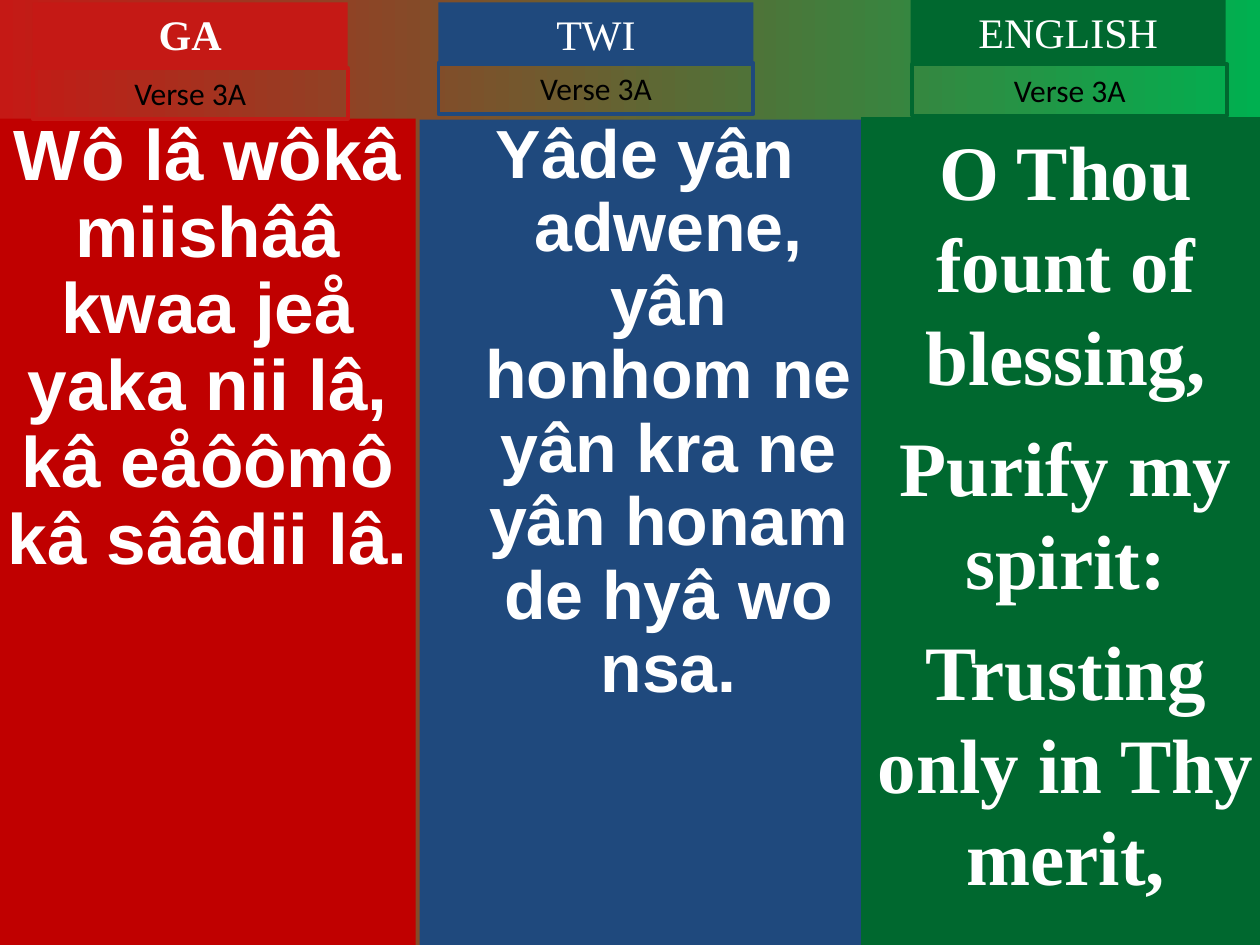
import pptx
import pptx.util
import pptx.dml.color
import pptx.enum.shapes
import pptx.enum.text
from pptx.util import Cm, Pt

RGBColor = pptx.dml.color.RGBColor
RED = RGBColor(0xC0, 0x00, 0x00)
BRIGHT_RED = RGBColor(0xC5, 0x19, 0x15)
BLUE = RGBColor(0x1F, 0x49, 0x7D)
DARK_GREEN = RGBColor(0x00, 0x68, 0x2F)
GREEN = RGBColor(0x00, 0xB0, 0x50)
WHITE = RGBColor(0xFF, 0xFF, 0xFF)
BLACK = RGBColor(0x00, 0x00, 0x00)


def add_box(s, box, inset):
    sp = s.shapes.add_shape(pptx.enum.shapes.MSO_SHAPE.RECTANGLE, *[Cm(v) for v in box])
    sp.shadow.inherit = False
    sp.fill.background()
    sp.line.fill.background()
    tf = sp.text_frame
    tf.word_wrap = True
    tf.vertical_anchor = pptx.enum.text.MSO_ANCHOR.TOP
    tf.margin_left = tf.margin_right = Cm(2 * inset)
    tf.margin_top = tf.margin_bottom = Cm(inset)
    return sp


def add_text(p, text, font, size, color, bold=False):
    p.alignment = pptx.enum.text.PP_ALIGN.CENTER
    r = p.add_run()
    r.text = text
    r.font.name = font
    r.font.size = Pt(size)
    r.font.bold = bold
    r.font.color.rgb = color


prs = pptx.Presentation()
prs.slide_width = Cm(25.4)
prs.slide_height = Cm(19.05)
s = prs.slides.add_slide(prs.slide_layouts[6])

fill = s.background.fill
fill.gradient()
fill.gradient_angle = 0
for stop, color, position in zip(fill.gradient_stops, (BRIGHT_RED, GREEN), (0, 1)):
    stop.color.rgb = color
    stop.position = position

verses = [
    ((0, 2.39, 8.38, 16.66), RED, 0, "Arial", 40.7, 0.9, 0, 0,
     ["Wô lâ wôkâ miishââ kwaa jeå yaka nii lâ,", "kâ eåôômô kâ sââdii lâ."]),
    ((8.46, 2.41, 9.09, 16.64), BLUE, 0, "Arial", 38.9, 0.9, 0, 0.95,
     ["Yâde yân adwene, yân honhom ne yân kra ne yân honam de hyâ wo nsa."]),
    ((17.36, 2.36, 8.25, 16.74), DARK_GREEN, 0.13, "Times New Roman", 44, 1.0, 11, 0,
     ["O Thou fount of blessing,", "Purify my spirit:", "Trusting only in Thy merit,"]),
]
for box, color, inset, font, size, spacing, before, hanging, lines in verses:
    sp = add_box(s, box, inset)
    sp.fill.solid()
    sp.fill.fore_color.rgb = color
    tf = sp.text_frame
    for i, line in enumerate(lines):
        p = tf.add_paragraph() if i else tf.paragraphs[0]
        p.line_spacing = spacing
        if i:
            p.space_before = Pt(before)
        if hanging:
            pPr = p._p.get_or_add_pPr()
            pPr.set("marL", str(Cm(hanging)))
            pPr.set("indent", str(-Cm(hanging)))
        add_text(p, line, font, size, WHITE, True)

headings = [
    ("GA", BRIGHT_RED, True, 0.66, 0.05, 0.66, 1.37),
    ("TWI", BLUE, False, 8.84, 0.05, 8.84, 1.27),
    ("ENGLISH", DARK_GREEN, False, 18.36, 0, 18.39, 1.3),
]
for language, color, bold, left, top, verse_left, verse_top in headings:
    sp = add_box(s, (left, top, 6.35, 1.28), 0.13)
    sp.fill.solid()
    sp.fill.fore_color.rgb = color
    add_text(sp.text_frame.paragraphs[0], language, "Times New Roman", 24, WHITE, bold)

    sp = add_box(s, (verse_left, verse_top, 6.35, 1.03), 0.13)
    sp.line.color.rgb = color
    sp.line.width = Pt(2.25)
    add_text(sp.text_frame.paragraphs[0], "Verse 3A", "Calibri", 18, BLACK)

prs.save("out.pptx")
